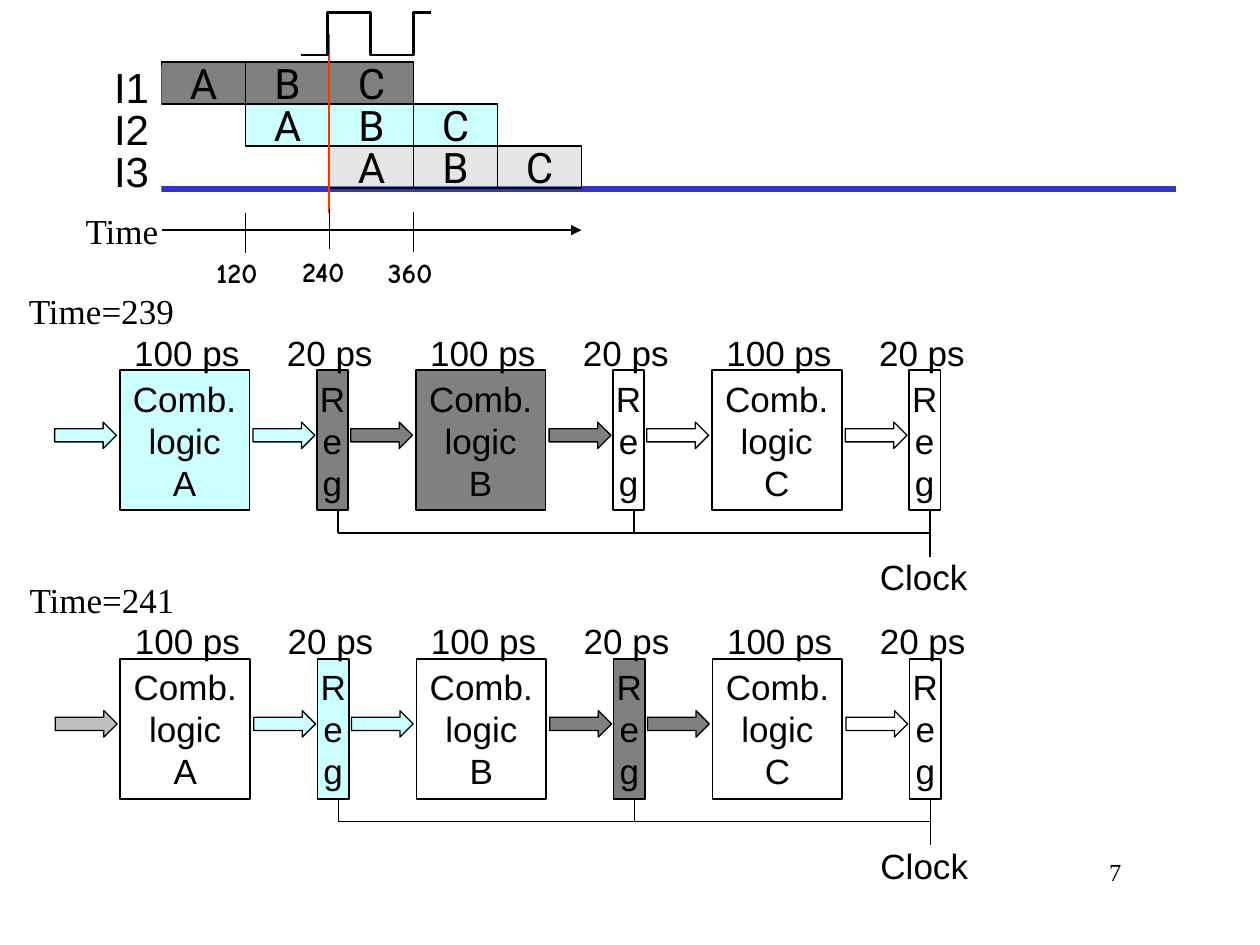
from dataclasses import dataclass

from lxml import etree
from pptx import Presentation
from pptx.dml.color import RGBColor
from pptx.enum.shapes import MSO_CONNECTOR, MSO_SHAPE
from pptx.enum.text import MSO_ANCHOR, MSO_AUTO_SIZE, PP_ALIGN
from pptx.oxml.ns import qn
from pptx.util import Pt

RECT, ARROW = MSO_SHAPE.RECTANGLE, MSO_SHAPE.RIGHT_ARROW
LINE = MSO_CONNECTOR.STRAIGHT
LEFT, MID, RIGHT = PP_ALIGN.LEFT, PP_ALIGN.CENTER, PP_ALIGN.RIGHT

BLACK = RGBColor(0x00, 0x00, 0x00)
WHITE = RGBColor(0xFF, 0xFF, 0xFF)
GRAY = RGBColor(0x80, 0x80, 0x80)
SILVER = RGBColor(0xBF, 0xBF, 0xBF)
CYAN = RGBColor(0xCC, 0xFF, 0xFF)
BLUE = RGBColor(0x33, 0x33, 0xCC)
RED = RGBColor(0xFF, 0x33, 0x00)

SANS, SERIF, CELL, TICK = "Arial", "Times New Roman", "Roboto", "Comic Neue"


@dataclass
class Row:
    name: str
    fill: RGBColor
    alpha: int = 100


@dataclass
class Stage:
    name: str
    feed: RGBColor | None   # arrow into the logic
    logic: RGBColor | None
    out: RGBColor | None    # arrow into the register
    reg: RGBColor


@dataclass
class Bank:
    title: str
    x: float
    y: float
    stages: list[Stage]


def write(frame, text: str, font: str, size: float, align, bold: bool = False) -> None:
    frame.word_wrap = False
    frame.text = text
    for para in frame.paragraphs:
        para.alignment = align
        para.font.name = font
        para.font.size = Pt(size)
        para.font.bold = bold
        para.font.color.rgb = BLACK


def label(shapes, text: str, box: tuple, font: str = SANS, size: float = 20,
          align=MID, bold: bool = False) -> None:
    frame = shapes.add_textbox(*map(Pt, box)).text_frame
    write(frame, text, font, size, align, bold)
    frame.vertical_anchor = MSO_ANCHOR.TOP
    frame.auto_size = MSO_AUTO_SIZE.SHAPE_TO_FIT_TEXT


def block(shapes, kind, box: tuple, fill: RGBColor | None, width: float):
    shape = shapes.add_shape(kind, *map(Pt, box))
    shape.shadow.inherit = False
    if fill is None:
        shape.fill.background()
    else:
        shape.fill.solid()
        shape.fill.fore_color.rgb = fill
    if width:
        shape.line.color.rgb = BLACK
        shape.line.width = Pt(width)
    else:
        shape.line.fill.background()
    return shape


def panel(shapes, text: str, box: tuple, fill: RGBColor | None, width: float,
          font: str = SANS, size: float = 20, align=MID):
    shape = block(shapes, RECT, box, fill, width)
    write(shape.text_frame, text, font, size, align)
    shape.text_frame.vertical_anchor = MSO_ANCHOR.MIDDLE
    return shape


def rule(shapes, x1: float, y1: float, x2: float, y2: float,
         width: float = 1, color: RGBColor = BLACK, head: bool = False) -> None:
    line = shapes.add_connector(LINE, Pt(x1), Pt(y1), Pt(x2), Pt(y2))
    line.line.color.rgb = color
    line.line.width = Pt(width)
    if head:
        etree.SubElement(line.line._get_or_add_ln(), qn("a:tailEnd"), type="triangle")
    etree.SubElement(line._element.spPr, qn("a:effectLst"))


def fade(shape, alpha: int) -> None:
    color = shape._element.spPr.find(qn("a:solidFill"))[0]
    etree.SubElement(color, qn("a:alpha"), val=str(alpha * 1000))


# Timing chart grid
LEFT_X, TOP_Y, COL_W, ROW_H = 92.3, 35.5, 48, 24
ROWS = [Row("I1", GRAY), Row("I2", CYAN), Row("I3", SILVER, 40)]


def draw_chart(shapes) -> None:
    rule(shapes, LEFT_X, 131.5, LEFT_X + 5 * COL_W, 131.5, head=True)
    label(shapes, "Time", (41.8, 115.9, 56.2, 31.7), SERIF, align=LEFT)
    for i, row in enumerate(ROWS):
        y = TOP_Y + i * ROW_H
        for j, name in enumerate("ABC"):
            box = (LEFT_X + (i + j) * COL_W, y, COL_W, ROW_H)
            cell = panel(shapes, name, box, row.fill, 0.75, CELL, 24)
            if row.alpha < 100:
                fade(cell, row.alpha)
    for i, row in enumerate(ROWS):
        box = (26, TOP_Y + 2.2 + i * ROW_H, 66.3, ROW_H)
        panel(shapes, row.name, box, WHITE, 0, size=24, align=RIGHT)
    # Current time, ticks and their values
    rule(shapes, 188, 19.5, 188, 121.5, 1.5, RED)
    ticks = [("120", 116.6, 121.7), ("240", 165.6, 119.5), ("360", 214.6, 121)]
    for i, (text, x, y) in enumerate(ticks, 1):
        mark = LEFT_X + i * COL_W
        rule(shapes, mark, y, mark, y + 23, 0.75)
        top = 141.8 if text == "240" else 142.6
        label(shapes, text, (x, top, 43.9, 26.6), TICK, 16, LEFT, True)


def draw_clock(shapes) -> None:
    low, high = 31.5, 7.2
    points = [(187.2, low), (187.2, high), (211.7, high), (211.7, low),
              (236.2, low), (236.2, high), (246.2, high)]
    form = shapes.build_freeform(Pt(172), Pt(low))
    form.add_line_segments([(Pt(x), Pt(y)) for x, y in points], close=False)
    wave = form.convert_to_shape()
    wave.shadow.inherit = False
    wave.fill.background()
    wave.line.color.rgb = BLACK
    wave.line.width = Pt(1.5)


# Pipeline: three equal stages, offsets from the corner of a bank
PITCH, BOX_H, BUS_Y = 169.2, 80, 93


def draw_bank(shapes, bank: Bank) -> None:
    x, y = bank.x, bank.y
    for i, stage in enumerate(bank.stages):
        left = x + i * PITCH
        panel(shapes, f"Comb.\nlogic\n{stage.name}",
              (left, y, 74.2, BOX_H), stage.logic, 1)
        panel(shapes, "R\ne\ng", (left + 112.6, y, 18, BOX_H), stage.reg, 1)
        label(shapes, "100 ps", (left + 0.9, y - 25.9, 74.9, 24.5))
        label(shapes, "20 ps", (left + 88, y - 25.9, 64.1, 24.5))
        for shift, fill in ((-37.2, stage.feed), (76.2, stage.out)):
            block(shapes, ARROW, (left + shift, y + 29.6, 35.3, 15.1), fill, 0.75)
        stem = left + 124.6
        last = i == len(bank.stages) - 1
        rule(shapes, stem, y + BOX_H, stem, y + (106.6 if last else BUS_Y))
    # Clock bus
    rule(shapes, x + 124.6, y + BUS_Y, stem, y + BUS_Y)
    label(shapes, "Clock", (stem - 36, y + 102.3, 64.8, 31))
    label(shapes, bank.title, (x - 59, y - 49.6, 97.9, 31), SERIF, align=LEFT)


BANKS = [
    Bank("Time=239", 68.4, 211.6, [
        Stage("A", CYAN, CYAN, CYAN, GRAY),
        Stage("B", GRAY, GRAY, GRAY, WHITE),
        Stage("C", None, None, None, WHITE)]),
    Bank("Time=241", 68.8, 376.5, [
        Stage("A", SILVER, WHITE, CYAN, CYAN),
        Stage("B", CYAN, WHITE, GRAY, GRAY),
        Stage("C", GRAY, None, None, WHITE)]),
]


def main() -> None:
    deck = Presentation()
    deck.slide_width, deck.slide_height = Pt(720), Pt(540)
    shapes = deck.slides.add_slide(deck.slide_layouts[6]).shapes
    rule(shapes, 36, 108, 672, 108, 3, BLUE)
    label(shapes, "7", (546, 486, 102, 36), SERIF, 14, RIGHT)
    draw_chart(shapes.add_group_shape().shapes)
    draw_clock(shapes)
    for bank in BANKS:
        draw_bank(shapes.add_group_shape().shapes, bank)
    deck.save("out.pptx")


if __name__ == "__main__":
    main()
